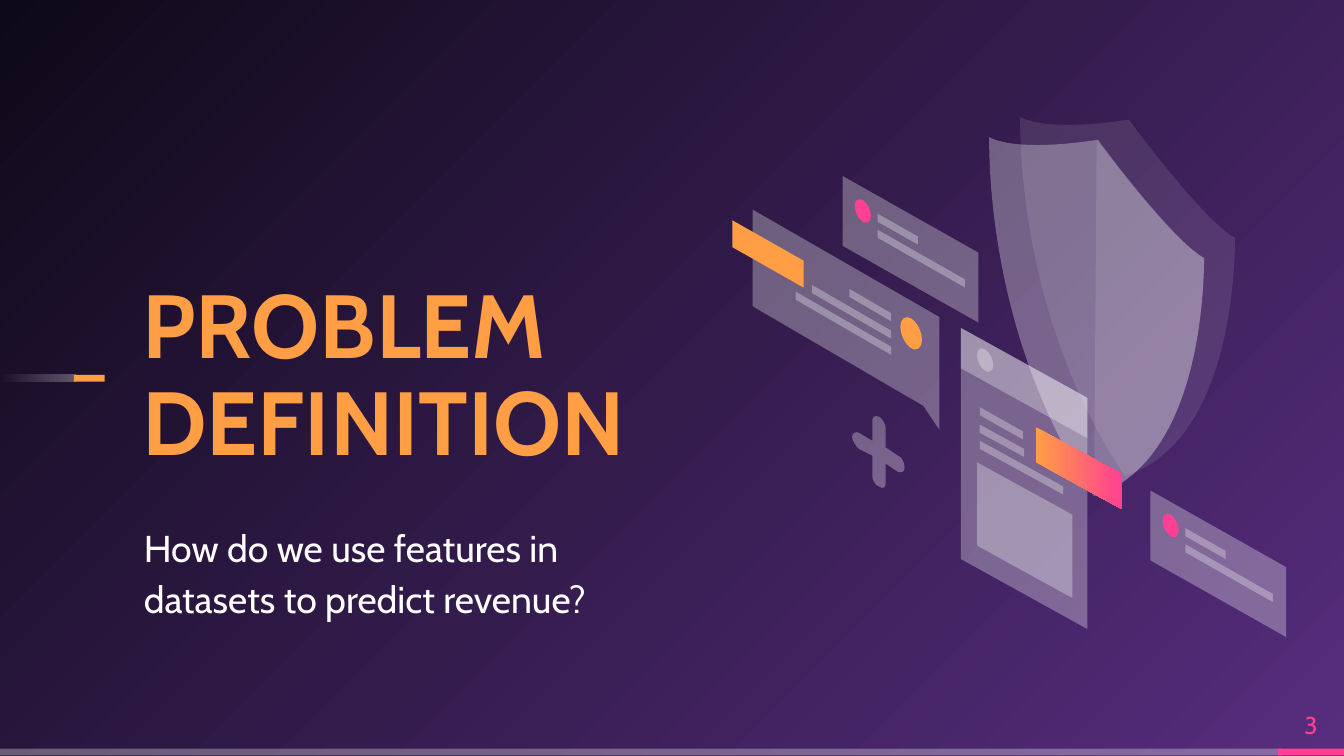
from lxml.etree import SubElement
from pptx import Presentation
from pptx.dml.color import RGBColor
from pptx.enum.shapes import MSO_SHAPE
from pptx.enum.text import MSO_ANCHOR, MSO_AUTO_SIZE, PP_ALIGN
from pptx.oxml.ns import qn
from pptx.util import Inches, Pt

COLORS = {
    "white": "FFFFFF",
    "orange": "FF9E44",
    "pink": "FF4093",
    "violet": "572D7E",
    "night": "0E0918",
}

SHIELD_RIGHT = [
    (8.35, 1.29, 8.77, 1.82, 8.96, 1.92),
    (8.95, 2.66, 8.75, 3.5, 8.14, 3.69),
]
SHIELD = [
    (8.14, 3.69),
    (7.55, 2.82, 7.36, 1.76, 7.36, 1.02),
    (7.55, 1.12, 7.98, 1.07, 8.17, 1.04),
    *SHIELD_RIGHT,
]
PLUS = [
    (6.54, 3.1),
    (6.57, 3.12, 6.59, 3.16, 6.59, 3.19), (6.59, 3.33), (6.68, 3.39),
    (6.71, 3.4, 6.73, 3.44, 6.73, 3.48),
    (6.73, 3.51, 6.71, 3.52, 6.68, 3.51), (6.59, 3.45), (6.59, 3.59),
    (6.59, 3.63, 6.57, 3.64, 6.54, 3.62),
    (6.51, 3.61, 6.49, 3.57, 6.49, 3.54), (6.49, 3.39), (6.39, 3.34),
    (6.37, 3.32, 6.34, 3.28, 6.34, 3.25),
    (6.34, 3.22, 6.37, 3.21, 6.39, 3.22), (6.49, 3.28), (6.49, 3.13),
    (6.49, 3.1, 6.51, 3.09, 6.54, 3.1),
]
BUBBLE = [(6.99, 2.36), (5.6, 1.56), (5.6, 2.28), (6.87, 3.02), (6.99, 3.2)]
CIRCLE = [
    (1, 0),
    (1, 0.55, 0.55, 1, 0, 1),
    (-0.55, 1, -1, 0.55, -1, 0),
    (-1, -0.55, -0.55, -1, 0, -1),
    (0.55, -1, 1, -0.55, 1, 0),
]


def rgb(name):
    return RGBColor.from_string(COLORS[name])


def apply_format(target, values):
    for name, value in values.items():
        setattr(target, name, value)


def set_gradient(fill, names):
    fill.gradient()
    for stop, name in zip(fill.gradient_stops, names):
        stop.color.rgb = rgb(name)


def paint(shape, names, alphas=(100,), angle=0):
    shape.shadow.inherit = False
    shape.line.fill.background()
    if len(names) > 1:
        set_gradient(shape.fill, names)
        shape.fill.gradient_angle = angle
    else:
        shape.fill.solid()
        shape.fill.fore_color.rgb = rgb(names[0])
    colors = shape._element.spPr.iter(qn("a:srgbClr"))
    for color, alpha in zip(list(colors), alphas):
        if alpha < 100:
            SubElement(color, qn("a:alpha")).set("val", str(alpha * 1000))


def add_bar(slide, box, names, alphas=(100,), angle=0):
    bar = slide.shapes.add_shape(MSO_SHAPE.RECTANGLE, *map(Inches, box))
    paint(bar, names, alphas, angle)


def point_pairs(segment):
    return list(zip(segment[::2], segment[1::2]))


def map_points(segments, transform):
    return [tuple(value for pair in point_pairs(segment) for value in transform(*pair))
            for segment in segments]


def bend_line(shape, line, segment):
    for point in list(line):
        line.remove(point)
    line.tag = qn("a:cubicBezTo")
    for x, y in point_pairs(segment):
        SubElement(line, qn("a:pt"), {
            "x": str(Inches(x) - shape.left), "y": str(Inches(y) - shape.top),
        })


def add_outline(slide, segments, names=("white",), alpha=30):
    corners = [(Inches(segment[-2]), Inches(segment[-1])) for segment in segments]
    builder = slide.shapes.build_freeform(*corners[0], scale=1.0)
    builder.add_line_segments(corners[1:], close=True)
    shape = builder.convert_to_shape()
    lines = list(shape._element.iter(qn("a:lnTo")))
    for line, segment in zip(lines, segments[1:]):
        if len(segment) == 6:
            bend_line(shape, line, segment)
    paint(shape, names, (alpha,))


def add_slant(slide, left, top, width, height, drop, names=("white",), alpha=30):
    right = left + width
    points = [(left, top), (right, top + drop),
              (right, top + drop + height), (left, top + height)]
    add_outline(slide, points, names, alpha)


def add_dot(slide, x, y, radius_x, radius_y, name, alpha=100):
    outline = map_points(CIRCLE, lambda u, v: (
        x + radius_x * u, y + 0.6 * radius_x * u + radius_y * v))
    add_outline(slide, outline, (name,), alpha)


def add_card(slide, left, top):
    add_slant(slide, left, top, 1.01, 0.52, 0.57)
    add_slant(slide, left + 0.26, top + 0.28, 0.3, 0.06, 0.17)
    add_slant(slide, left + 0.26, top + 0.4, 0.65, 0.06, 0.37)
    add_dot(slide, left + 0.15, top + 0.26, 0.06, 0.08, "pink")


def add_shield(slide):
    add_outline(slide, map_points(SHIELD, lambda x, y: (x + 0.23, y - 0.15)), alpha=10)
    add_outline(slide, SHIELD)
    add_outline(slide, [(8.14, 3.69), (8.16, 1.04), *SHIELD_RIGHT], alpha=10)


def add_page(slide):
    add_slant(slide, 7.15, 2.44, 0.94, 1.72, 0.52)
    add_slant(slide, 7.27, 3.44, 0.71, 0.62, 0.39)
    for top, width, drop in ((3.03, 0.32, 0.18), (3.16, 0.33, 0.18), (3.28, 0.62, 0.34)):
        add_slant(slide, 7.29, top, width, 0.06, drop)
    add_slant(slide, 7.15, 2.44, 0.94, 0.3, 0.52)
    add_dot(slide, 7.33, 2.68, 0.06, 0.08, "white", 30)
    add_slant(slide, 7.71, 3.18, 0.64, 0.26, 0.35, ("orange", "pink"), 100)


def add_bubble(slide):
    add_outline(slide, BUBBLE)
    add_slant(slide, 5.45, 1.64, 0.53, 0.2, 0.3, ("orange",), 100)
    for left, top, drop in ((6.32, 2.15, 0.18), (6.04, 2.12, 0.34), (5.92, 2.17, 0.41)):
        add_slant(slide, left, top, 6.63 - left, 0.06, drop)
    add_dot(slide, 6.78, 2.48, 0.08, 0.11, "orange")


def write_text(shape, box, text, font, paragraph_format):
    apply_format(shape, dict(zip(("left", "top", "width", "height"), map(Inches, box))))
    frame = shape.text_frame
    apply_format(frame, {
        "word_wrap": True, "auto_size": MSO_AUTO_SIZE.NONE,
        "vertical_anchor": MSO_ANCHOR.MIDDLE,
        "margin_left": 0, "margin_top": 0, "margin_right": 0, "margin_bottom": 0,
    })
    frame.text = text
    paragraph = frame.paragraphs[0]
    apply_format(paragraph, {"alignment": PP_ALIGN.LEFT, **paragraph_format})
    size, color, bold = font
    run_font = paragraph.runs[0].font
    apply_format(run_font, {"name": "Cabin", "size": Pt(size), "bold": bold})
    run_font.color.rgb = rgb(color)


def add_text(slide, box, *content):
    write_text(slide.shapes.add_textbox(*map(Inches, box)), box, *content)


def set_background(slide):
    set_gradient(slide.background.fill, ("violet", "night"))
    gradient = next(slide._element.iter(qn("a:gradFill")))
    gradient.remove(gradient.find(qn("a:lin")))
    circle = SubElement(gradient, qn("a:path"), {"path": "circle"})
    SubElement(circle, qn("a:fillToRect"), {"l": "100000", "t": "100000"})


def main():
    presentation = Presentation()
    apply_format(presentation, {"slide_width": Inches(10), "slide_height": Inches(5.625)})
    slide = presentation.slides.add_slide(presentation.slide_layouts[5])
    set_background(slide)

    add_bar(slide, (0, 5.57, 9.54, 0.05), ("white",), (30,))
    add_bar(slide, (9.51, 5.57, 0.49, 0.05), ("pink",))
    add_bar(slide, (0, 2.79, 0.56, 0.05), ("white", "white"), (30, 0), 180)
    add_bar(slide, (0.55, 2.79, 0.23, 0.05), ("orange",))

    add_text(slide, (9.51, 5.2, 0.49, 0.38), "3",
             (13, "pink", False), {"alignment": PP_ALIGN.CENTER})
    write_text(slide.shapes.title, (1.06, 1.98, 5.09, 1.66), "PROBLEM DEFINITION",
               (48, "orange", True), {"line_spacing": 0.9})
    add_text(slide, (1.07, 3.46, 3.71, 1.56),
             "How do we use features in datasets to predict revenue?",
             (20, "white", False), {"line_spacing": 1.15, "space_after": Pt(8)})

    for left, top in ((6.27, 1.31), (8.56, 3.65)):
        add_card(slide, left, top)
    add_shield(slide)
    add_page(slide)
    add_bubble(slide)
    add_outline(slide, PLUS)
    presentation.save("out.pptx")


if __name__ == "__main__":
    main()
